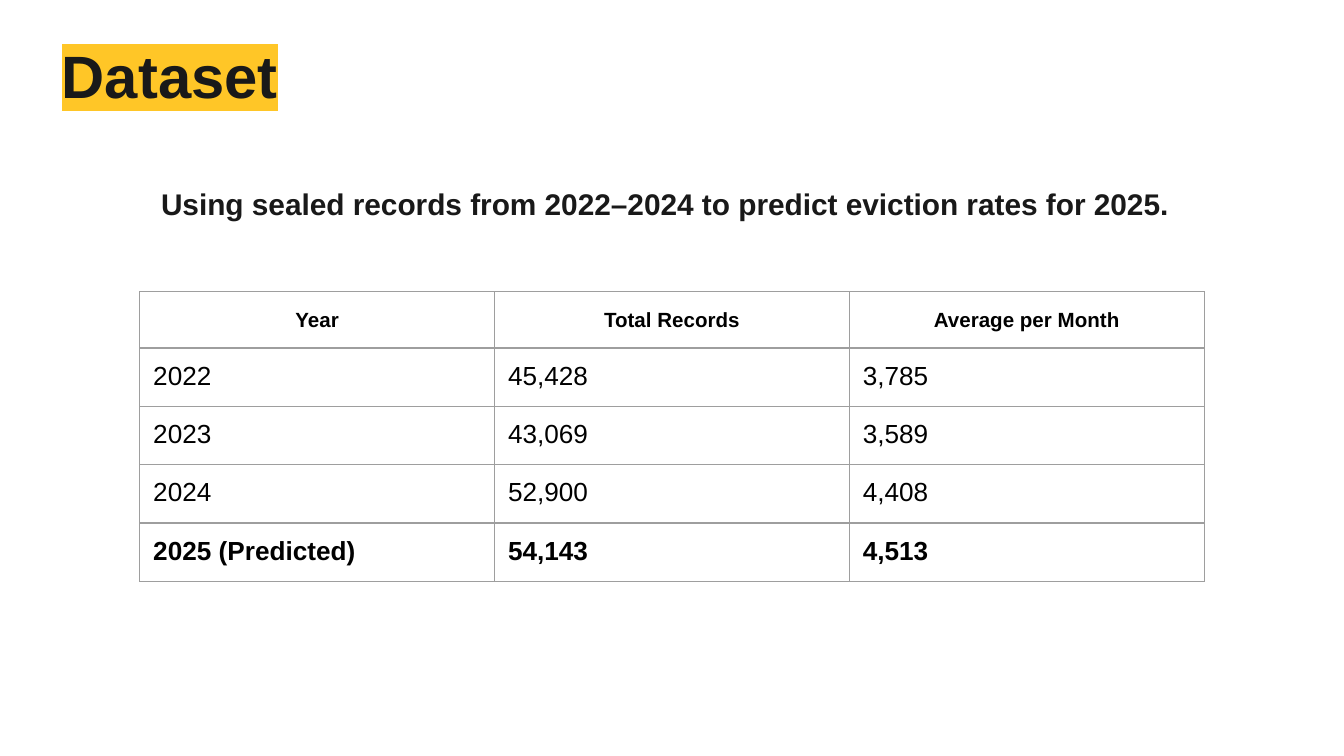
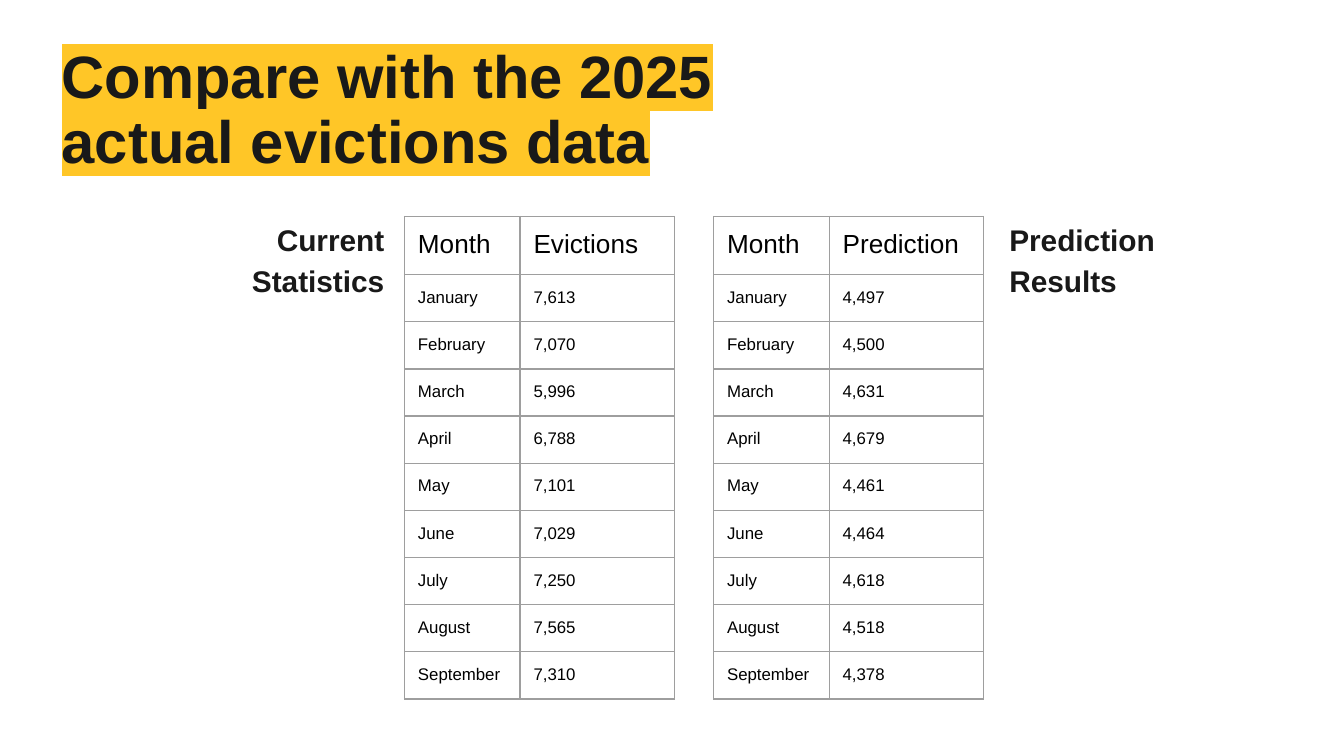
from dataclasses import dataclass

from lxml import etree
from pptx import Presentation
from pptx.dml.color import RGBColor
from pptx.enum import text
from pptx.oxml import ns
from pptx import util as u


@dataclass(frozen=True)
class Theme:
    font: str = "Arial"
    ink: str = "191919"
    black: str = "000000"
    gold: str = "FFC627"
    rule: str = "9E9E9E"
    title: float = 32
    body: float = 16
    cell: float = 14
    heading: float = 11
    small: float = 9
    rule_width: float = 0.75
    padding: float = 0.1
    line: float = 1.15


THEME = Theme()
LEFT, CENTER, RIGHT = (
    text.PP_ALIGN.LEFT, text.PP_ALIGN.CENTER, text.PP_ALIGN.RIGHT)

RECORDS = [
    ("Year", "Total Records", "Average per Month"),
    ("2022", "45,428", "3,785"),
    ("2023", "43,069", "3,589"),
    ("2024", "52,900", "4,408"),
    ("2025 (Predicted)", "54,143", "4,513"),
]
MONTHS = ["January", "February", "March", "April", "May",
          "June", "July", "August", "September"]
EVICTIONS = ["7,613", "7,070", "5,996", "6,788", "7,101",
             "7,029", "7,250", "7,565", "7,310"]
PREDICTIONS = ["4,497", "4,500", "4,631", "4,679", "4,461",
               "4,464", "4,618", "4,518", "4,378"]


def add_color(parent, tag, color):
    element = etree.SubElement(parent, ns.qn(tag))
    etree.SubElement(element, ns.qn("a:srgbClr"), val=color)


def write(frame, words, *, size, color=THEME.ink, bold=False, align=LEFT,
          line=None, highlight=None):
    """Put one formatted paragraph in a text frame."""
    para = frame.paragraphs[0]
    para.alignment = align
    para.line_spacing = line
    para.space_before = para.space_after = u.Pt(0)
    span = para.add_run()
    span.text = words
    span.font.size = u.Pt(size)
    span.font.bold = bold
    span.font.color.rgb = RGBColor.from_string(color)
    if highlight:
        add_color(span.font._element, "a:highlight", highlight)
    span.font.name = THEME.font


def add_text(page, box, words, *, top_inset=0, **style):
    shape = page.shapes.add_textbox(*map(u.Inches, box))
    frame = shape.text_frame
    frame.word_wrap = True
    frame.margin_left = frame.margin_right = frame.margin_bottom = 0
    frame.margin_top = u.Inches(top_inset)
    write(frame, words, **style)


def add_borders(cell):
    properties = cell._tc.get_or_add_tcPr()
    for side in ("a:lnL", "a:lnR", "a:lnT", "a:lnB"):
        border = etree.SubElement(properties, ns.qn(side),
                                  w=str(u.Pt(THEME.rule_width)))
        add_color(border, "a:solidFill", THEME.rule)


def add_table(page, left, top, rows, widths, heights, cell_style):
    """Draw a ruled table; cell_style(row) gives each text format."""
    frame = page.shapes.add_table(
        len(rows), len(widths), u.Inches(left), u.Inches(top),
        u.Inches(sum(widths)), u.Inches(sum(heights)))
    table = frame.table
    table.first_row = table.horz_banding = False
    for column, width in zip(table.columns, widths):
        column.width = u.Inches(width)
    for row, height in zip(table.rows, heights):
        row.height = u.Inches(height)
    for r, values in enumerate(rows):
        for c, value in enumerate(values):
            cell = table.cell(r, c)
            add_borders(cell)
            cell.fill.background()
            cell.margin_left = cell.margin_right = u.Inches(THEME.padding)
            cell.margin_top = cell.margin_bottom = u.Inches(THEME.padding)
            write(cell.text_frame, value, color=THEME.black, **cell_style(r))
    return table


def add_page(deck, title, title_box):
    """Start a slide with the shared title style."""
    page = deck.slides.add_slide(deck.slide_layouts[6])
    add_text(page, title_box, title, size=THEME.title, bold=True, line=0.9,
             highlight=THEME.gold)
    return page


def record_style(row):
    if row == 0:
        return dict(size=THEME.heading, bold=True, align=CENTER,
                    line=THEME.line)
    return dict(size=THEME.cell, bold=row == len(RECORDS) - 1)


def month_style(row):
    return dict(size=THEME.small if row else THEME.cell)


def month_table(page, left, top, heading, values):
    rows = [("Month", heading), *zip(MONTHS, values)]
    heights = [0.19] + [0.26] * len(MONTHS)
    table = add_table(page, left, top, rows, [0.86, 1.15], heights,
                      month_style)
    table.cell(0, 0).margin_right = 0


def dataset_slide(deck):
    page = add_page(deck, "Dataset", (0.46, 0.35, 4.59, 0.48))
    # Statement
    add_text(page, (0.45, 0.97, 9, 3.48),
             "Using sealed records from 2022–2024 to predict eviction rates "
             "for 2025.",
             top_inset=0.43, size=THEME.body, bold=True, align=CENTER,
             line=THEME.line)
    # Yearly records
    add_table(page, 1.04, 2.17, RECORDS, [2.64] * 3, [0.42] * len(RECORDS),
              record_style)


def comparison_slide(deck):
    page = add_page(deck, "Compare with the 2025 actual evictions data",
                    (0.46, 0.35, 5.86, 0.97))
    top = 1.61
    label = dict(size=THEME.body, bold=True, line=THEME.line)
    # Actual figures, labelled on the left
    add_text(page, (1.38, top, 1.48, 3.55), "Current Statistics",
             align=RIGHT, **label)
    month_table(page, 3.01, top, "Evictions", EVICTIONS)
    # Predicted figures, labelled on the right
    month_table(page, 5.31, top, "Prediction", PREDICTIONS)
    add_text(page, (7.51, top, 1.48, 1.59), "Prediction Results", **label)


def main():
    deck = Presentation()
    # Widescreen, 16:9
    deck.slide_width = u.Inches(10)
    deck.slide_height = u.Inches(10 * 9 / 16)
    dataset_slide(deck)
    comparison_slide(deck)
    deck.save("out.pptx")


if __name__ == "__main__":
    main()
